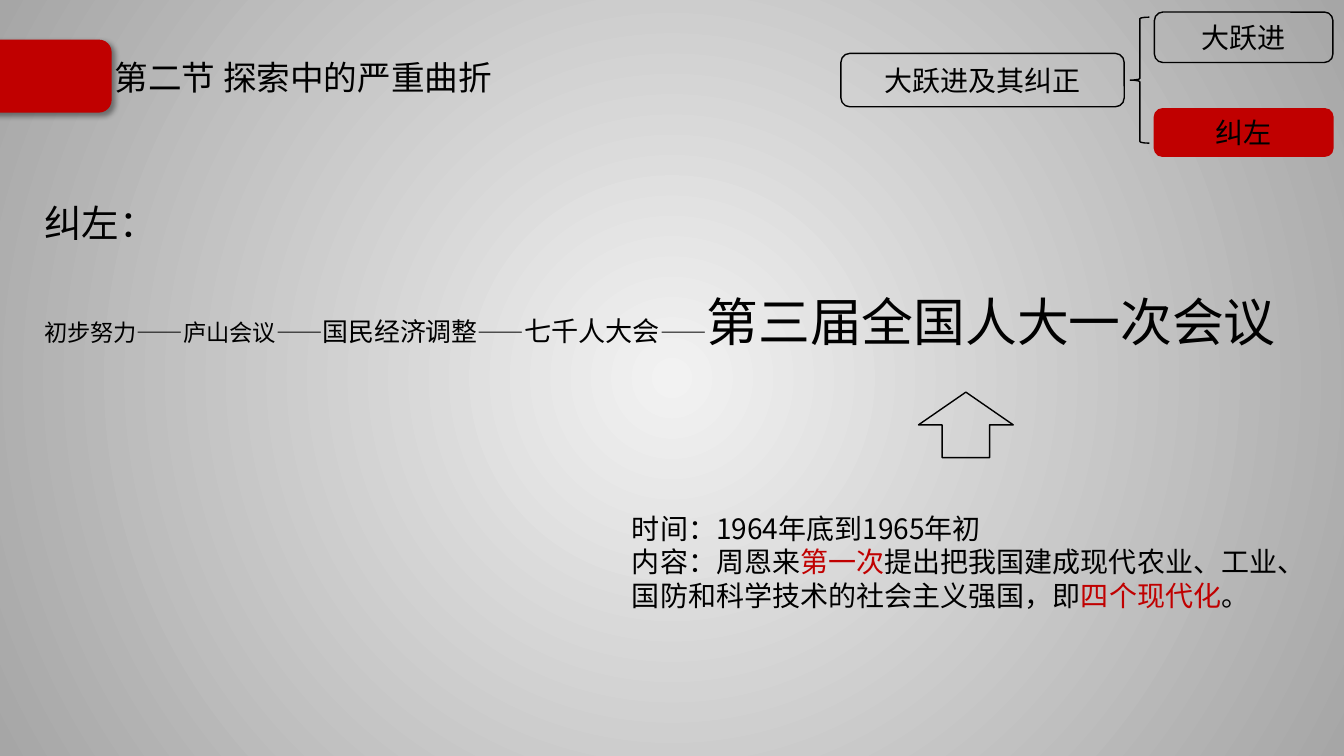
from dataclasses import dataclass
from typing import NamedTuple

from lxml.etree import SubElement
from pptx import Presentation
from pptx.dml.color import RGBColor
from pptx.enum.shapes import MSO_SHAPE
from pptx.enum.text import MSO_ANCHOR, PP_ALIGN
from pptx.oxml.ns import qn
from pptx.util import Inches, Pt


@dataclass(frozen=True)
class Theme:
    """Colours, fonts and type sizes of the slide."""
    black: RGBColor = RGBColor(0x00, 0x00, 0x00)
    red: RGBColor = RGBColor(0xC0, 0x00, 0x00)
    glow: RGBColor = RGBColor(0xF2, 0xF2, 0xF2)
    edge: RGBColor = RGBColor(0xA6, 0xA6, 0xA6)
    title_font: str = "Noto Sans CJK JP"
    body_font: str = "Noto Sans CJK SC"
    title: float = 24
    heading: float = 26.8
    early: float = 16.6
    adjustment: float = 18.5
    conference: float = 19.4
    congress: float = 37
    label: float = 20


THEME = Theme()


class Area(NamedTuple):
    """Left, top, width and height in inches."""
    left: float
    top: float
    width: float
    height: float


class Span(NamedTuple):
    """A piece of text with its own size or colour where it differs."""
    text: str
    size: float | None = None
    color: RGBColor | None = None


@dataclass(frozen=True)
class Line:
    """A paragraph and its format."""
    spans: tuple[Span, ...]
    size: float
    font: str = THEME.body_font
    spacing: float = 1.0
    before: float = 0
    align: PP_ALIGN = PP_ALIGN.LEFT


@dataclass(frozen=True)
class Outline:
    """A preset shape with an outline, and an optional fill and label."""
    kind: MSO_SHAPE
    area: Area
    label: str = ""
    fill: RGBColor | None = None


def inches(area):
    """Turn an area into lengths."""
    return [Inches(value) for value in area]


def write(frame, lines: tuple[Line, ...], anchor=MSO_ANCHOR.TOP) -> None:
    """Write paragraphs into a text frame."""
    frame.word_wrap = True
    frame.vertical_anchor = anchor
    for index, line in enumerate(lines):
        para = frame.add_paragraph() if index else frame.paragraphs[0]
        para.alignment = line.align
        para.line_spacing = line.spacing
        para.space_before = Pt(line.before)
        para.font.size = Pt(line.size)
        para.font.color.rgb = THEME.black
        para.font.name = line.font
        latin = para.font._element.find(qn("a:latin"))
        latin.addnext(latin.makeelement(qn("a:ea"), {"typeface": line.font}))
        for span in line.spans:
            run = para.add_run()
            run.text = span.text
            if span.size:
                run.font.size = Pt(span.size)
            if span.color:
                run.font.color.rgb = span.color


def add_text(page, area: Area, lines: tuple[Line, ...], anchor=MSO_ANCHOR.TOP) -> None:
    """Add a text box."""
    write(page.shapes.add_textbox(*inches(area)).text_frame, lines, anchor)


def add_outline(page, item: Outline):
    """Add an outlined shape and its centred label."""
    shape = page.shapes.add_shape(item.kind, *inches(item.area))
    shape.shadow.inherit = False
    if item.fill is None:
        shape.fill.background()
    else:
        shape.fill.solid()
        shape.fill.fore_color.rgb = item.fill
    shape.line.color.rgb = item.fill or THEME.black
    shape.line.width = Pt(1)
    if item.label:
        line = Line((Span(item.label),), THEME.label, align=PP_ALIGN.CENTER)
        write(shape.text_frame, (line,), MSO_ANCHOR.MIDDLE)
    return shape


def add_shadow(shape) -> None:
    """Give a shape a soft shadow to the lower right."""
    effects = shape._element.spPr.find(qn("a:effectLst"))
    shadow = SubElement(effects, qn("a:outerShdw"), blurRad=str(Pt(4)),
                        dist=str(Pt(3)), dir=str(45 * 60000), rotWithShape="0")
    color = SubElement(shadow, qn("a:srgbClr"), val=str(THEME.black))
    SubElement(color, qn("a:alpha"), val="40000")


def paint_background(page) -> None:
    """Fill the page with a circular gradient, bright in the middle."""
    fill = page.background.fill
    fill.gradient()
    for stop, color in zip(fill.gradient_stops, (THEME.glow, THEME.edge)):
        stop.color.rgb = color
    gradient = page.element.find(".//" + qn("a:gradFill"))
    gradient.remove(gradient.find(qn("a:lin")))
    circle = SubElement(gradient, qn("a:path"), path="circle")
    SubElement(circle, qn("a:fillToRect"), {side: "50000" for side in "ltrb"})


TITLE = Line((Span("第二节 探索中的严重曲折"),), THEME.title, THEME.title_font, 0.9)
DASH = Span("——")
TIMELINE = (
    Line((Span("纠左："),), THEME.heading, spacing=1.5, before=10),
    Line((
        Span("初步努力——庐山会议——"),
        Span("国民经济调整", THEME.adjustment), DASH,
        Span("七千人大会", THEME.conference), DASH,
        Span("第三届全国人大一次会议", THEME.congress),
    ), THEME.early, spacing=1.5, before=10),
)
DETAILS = (
    Line((Span("时间：1964年底到1965年初"),), THEME.label),
    Line((
        Span("内容：周恩来"),
        Span("第一次", color=THEME.red),
        Span("提出把我国建成现代农业、工业、国防和科学技术的社会主义强国，即"),
        Span("四个现代化", color=THEME.red),
        Span("。"),
    ), THEME.label),
)
RED_TAB = Outline(MSO_SHAPE.ROUNDED_RECTANGLE, Area(-0.18, 0.4, 1.28, 0.71), fill=THEME.red)
OUTLINES = (
    Outline(MSO_SHAPE.ROUNDED_RECTANGLE, Area(8.34, 0.53, 2.81, 0.53), "大跃进及其纠正"),
    Outline(MSO_SHAPE.LEFT_BRACE, Area(11.21, 0.17, 0.19, 1.25)),
    Outline(MSO_SHAPE.ROUNDED_RECTANGLE, Area(11.45, 0.12, 1.77, 0.5), "大跃进"),
    Outline(MSO_SHAPE.ROUNDED_RECTANGLE, Area(11.45, 1.08, 1.77, 0.47), "纠左", THEME.red),
    Outline(MSO_SHAPE.UP_ARROW, Area(9.11, 3.89, 0.94, 0.65)),
)

deck = Presentation()
deck.slide_width, deck.slide_height = Inches(13.33), Inches(7.5)
page = deck.slides.add_slide(deck.slide_layouts[6])
paint_background(page)
add_shadow(add_outline(page, RED_TAB))
add_text(page, Area(1.04, 0.49, 5.13, 0.59), (TITLE,), MSO_ANCHOR.MIDDLE)
add_text(page, Area(0.34, 1.71, 12.64, 2.21), TIMELINE)
for outline in OUTLINES:
    add_outline(page, outline)
add_text(page, Area(6.17, 5.02, 6.87, 1.11), DETAILS)
deck.save("out.pptx")
